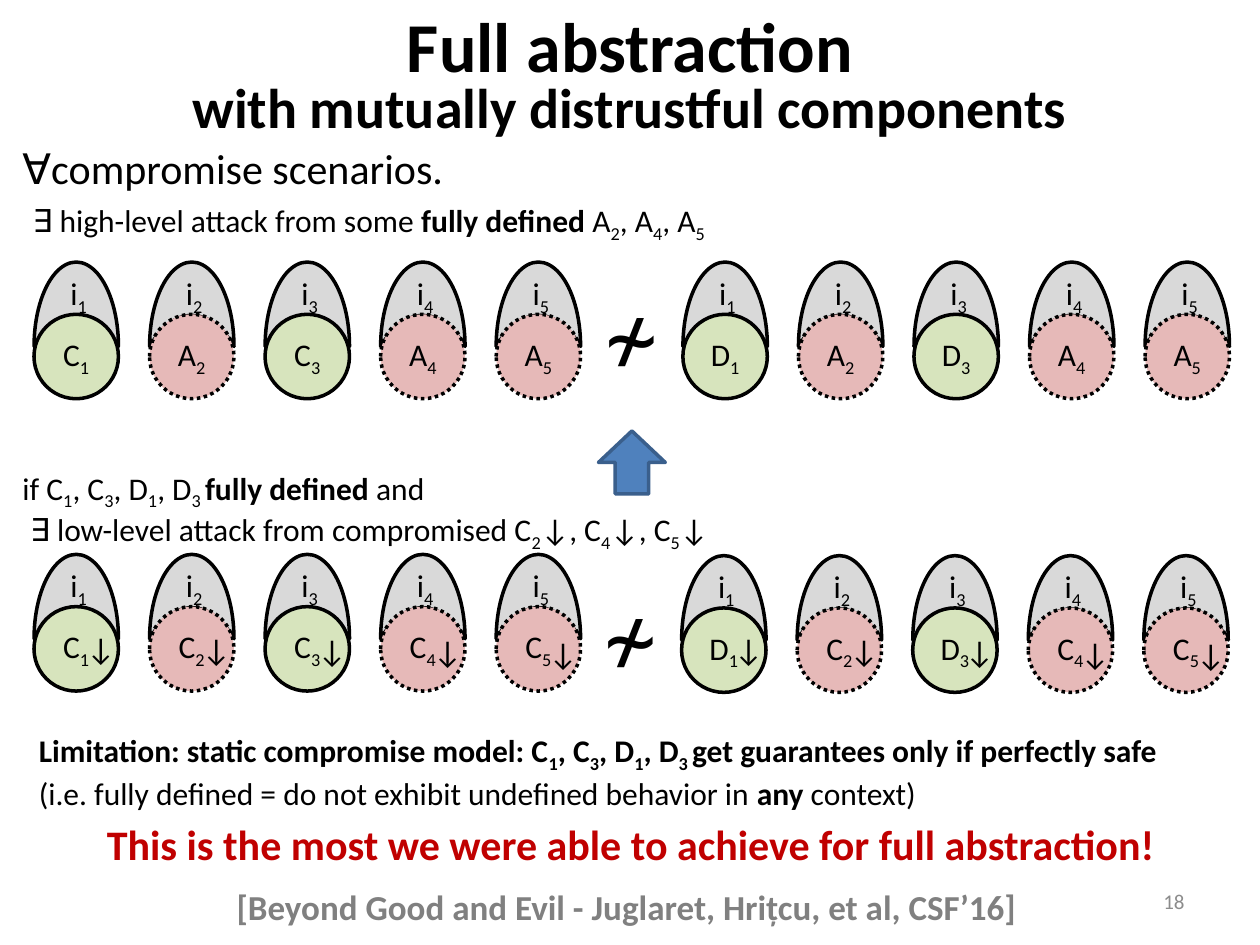
from pptx import Presentation
from pptx.dml.color import RGBColor
from pptx.enum.dml import MSO_LINE
from pptx.enum.shapes import MSO_SHAPE
from pptx.enum.text import MSO_ANCHOR, MSO_AUTO_SIZE, PP_ALIGN
from pptx.util import Inches, Pt

MOON, OVAL, ARROW = MSO_SHAPE.MOON, MSO_SHAPE.OVAL, MSO_SHAPE.DOWN_ARROW
DOTTED = MSO_LINE.ROUND_DOT
MIDDLE = MSO_ANCHOR.MIDDLE
LEFT, CENTER, RIGHT = PP_ALIGN.LEFT, PP_ALIGN.CENTER, PP_ALIGN.RIGHT
GROW = MSO_AUTO_SIZE.SHAPE_TO_FIT_TEXT

COLORS = {"black": "000000", "gray": "D9D9D9", "green": "D7E4BD", "pink": "E6B9B8",
          "blue": "4F81BD", "navy": "3A5F8C", "red": "C00000", "cite": "808080",
          "number": "8C8C8C"}
FONT, MATH = "Calibri", "Noto Sans Mono"

TITLE = [("Full abstraction", 40), ("with mutually distrustful components", 32)]

# In all texts, *...* is bold and ~...~ is subscript.
# place, size, colour, font, wrap, paragraphs
TEXTS = [
    ((0.08, 1.08, 3.55, 0.5), 24, "black", FONT, False, ["∀compromise scenarios."]),
    ((0.16, 1.55, 5.59, 0.4), 18, "black", FONT, False,
     ["∃ high-level attack from some *fully defined* A~2~, A~4~, A~5~"]),
    ((0.08, 3.67, 4.19, 0.4), 18, "black", FONT, True,
     ["if C~1~, C~3~, D~1~, D~3 ~*fully defined* and"]),
    ((0.14, 4, 6.14, 0.4), 18, "black", FONT, True,
     ["∃ low-level attack from compromised C~2~↓, C~4~↓, C~5~↓"]),
    ((0.21, 5.75, 9.2, 0.71), 18, "black", FONT, False,
     ["*Limitation: static compromise model: C~1~, C~3~, D~1~, D~3 ~"
      "get guarantees only if perfectly safe*",
      "(i.e. fully defined = do not exhibit undefined behavior in *any* context)"]),
    ((0.75, 6.45, 8.6, 0.5), 24, "red", FONT, False,
     ["*This is the most we were able to achieve for full abstraction!*"]),
    ((1.78, 6.98, 6.44, 0.44), 20, "cite", FONT, False,
     ["*[Beyond Good and Evil - Juglaret, Hrițcu, et al, CSF’16]*"]),
    ((4.69, 2.18, 0.64, 1.01), 54, "black", MATH, False, ["≁"]),
    ((4.68, 4.57, 0.64, 1.01), 54, "black", MATH, False, ["≁"]),
]

# left, top, component letters, compiled
ROWS = [(0.27, 2.08, "CACAA", False), (5.42, 2.08, "DADAA", False),
        (0.27, 4.4, "CCCCC", True), (5.41, 4.41, "DCDCC", True)]
SAFE = (1, 3)
PITCH, SIZE, DROP = 0.917, 0.67, 0.415


def color(name):
    return RGBColor.from_string(COLORS[name])


def box(place):
    return [Inches(v) for v in place]


def write(frame, lines, size=18, tint="black", font=FONT, align=LEFT):
    """Fill a frame from marked-up lines."""
    for i, line in enumerate(lines):
        para = frame.paragraphs[0] if i == 0 else frame.add_paragraph()
        para.alignment = align
        para.font.size, para.font.name = Pt(size), font
        para.font.color.rgb = color(tint)
        for j, part in enumerate(line.split("*")):
            for k, text in enumerate(part.split("~")):
                if not text:
                    continue
                run = para.add_run()
                run.text = text
                if j % 2:
                    run.font.bold = True
                if k % 2:
                    run.font._element.set("baseline", "-25000")


def add_text(shapes, place, lines, wrap=False, **style):
    frame = shapes.add_textbox(*box(place)).text_frame
    frame.word_wrap = wrap
    frame.auto_size = GROW
    write(frame, lines, **style)
    return frame


def add_shape(shapes, kind, place, fill, line="black"):
    shape = shapes.add_shape(kind, *box(place))
    shape.shadow.inherit = False
    shape.fill.solid()
    shape.fill.fore_color.rgb = color(fill)
    shape.line.color.rgb = color(line)
    shape.line.width = Pt(2)
    return shape


def add_row(slide, left, top, letters, compiled):
    """Draw five components, each below its interface."""
    shapes = slide.shapes.add_group_shape().shapes
    for i, letter in enumerate(letters):
        num, x = i + 1, left + i * PITCH
        moon = add_shape(shapes, MOON, (x, top, SIZE, SIZE), "gray")
        moon.rotation = 90
        moon.adjustments[0] = 0.632
        add_text(shapes, (x + 0.19, top + 0.045, 0.35, 0.4), [f"i~{num}~"])

        safe = num in SAFE
        disc = add_shape(shapes, OVAL, (x, top + DROP, SIZE, SIZE),
                         "green" if safe else "pink")
        if not safe:
            disc.line.dash_style = DOTTED
        frame = disc.text_frame
        frame.word_wrap = False
        frame.vertical_anchor = MIDDLE
        write(frame, [f"{letter}~{num}~"], align=CENTER)
        if compiled:
            add_text(shapes, (x + 0.32, top + 0.54 + i * 0.01, 0.43, 0.4), ["↓"])


def add_title(slide):
    title = slide.shapes.title
    title.left, title.top, title.width, title.height = box((0.5, 0, 9, 1.25))
    title.text_frame.vertical_anchor = MIDDLE
    para = title.text_frame.paragraphs[0]
    para.alignment, para.line_spacing = CENTER, 0.8
    para.font.name, para.font.bold = FONT, True
    para.font.color.rgb = color("black")
    for i, (text, size) in enumerate(TITLE):
        if i:
            para.add_line_break()
        run = para.add_run()
        run.text, run.font.size = text, Pt(size)


def main():
    prs = Presentation()
    prs.slide_width, prs.slide_height = Inches(10), Inches(7.5)
    slide = prs.slides.add_slide(prs.slide_layouts[5])
    add_title(slide)
    for row in ROWS:
        add_row(slide, *row)
    arrow = add_shape(slide.shapes, ARROW, (4.75, 3.42, 0.53, 0.5), "blue", "navy")
    arrow.rotation = 180
    for place, size, tint, font, wrap, lines in TEXTS:
        add_text(slide.shapes, place, lines, wrap, size=size, tint=tint, font=font)
    number = add_text(slide.shapes, (7.17, 6.95, 2.33, 0.4), ["18"], True,
                      size=12, tint="number", align=RIGHT)
    number.auto_size = MSO_AUTO_SIZE.NONE
    number.vertical_anchor = MIDDLE
    prs.save("out.pptx")


if __name__ == "__main__":
    main()
